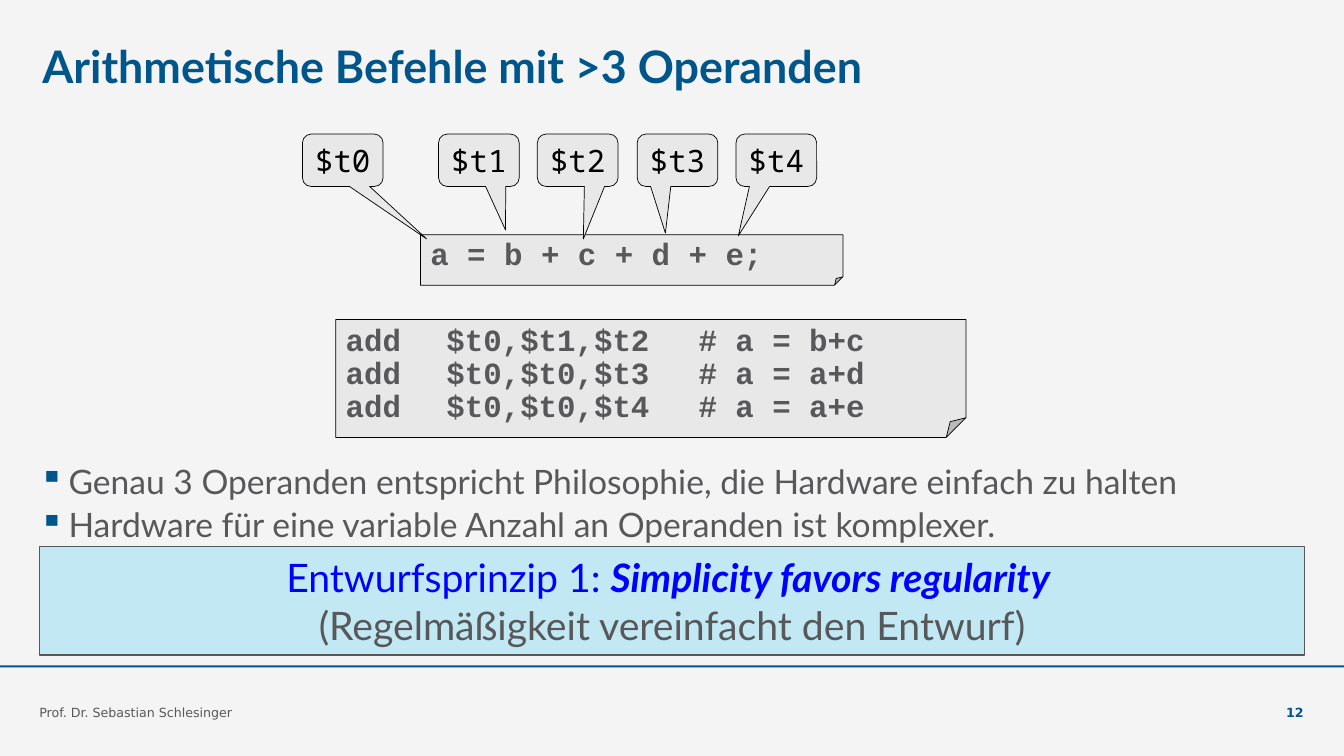
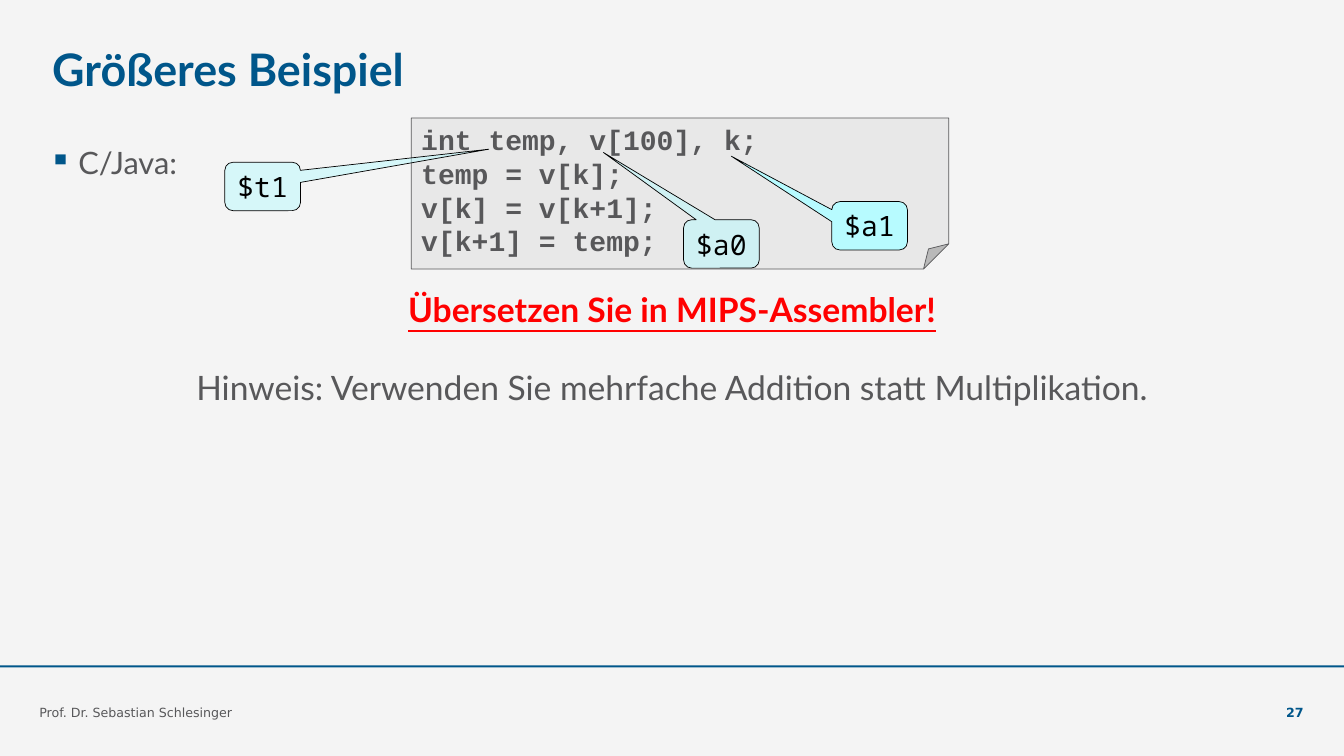
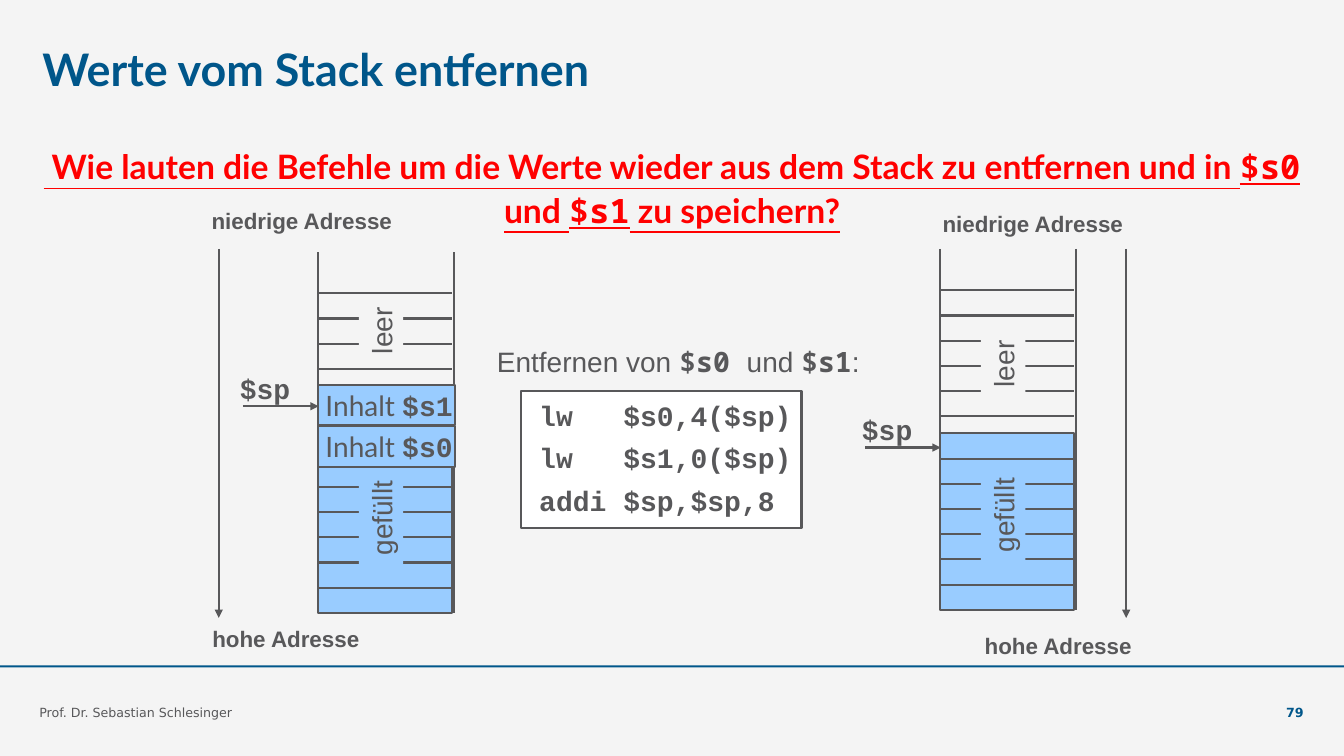
from dataclasses import dataclass, replace

from lxml import etree
from pptx import Presentation
from pptx.dml.color import RGBColor
from pptx.enum.shapes import MSO_CONNECTOR, MSO_SHAPE
from pptx.enum.text import MSO_ANCHOR, PP_ALIGN
from pptx.oxml.ns import qn
from pptx.util import Inches, Pt

RECT, NOTE = MSO_SHAPE.RECTANGLE, MSO_SHAPE.FOLDED_CORNER
CALLOUT = MSO_SHAPE.ROUNDED_RECTANGULAR_CALLOUT
STRAIGHT = MSO_CONNECTOR.STRAIGHT
TOP, MIDDLE, BOTTOM = MSO_ANCHOR.TOP, MSO_ANCHOR.MIDDLE, MSO_ANCHOR.BOTTOM
LEFT, CENTER, RIGHT = PP_ALIGN.LEFT, PP_ALIGN.CENTER, PP_ALIGN.RIGHT

PAPER = RGBColor(0xF4, 0xF4, 0xF4)
NAVY = RGBColor(0x00, 0x56, 0x8A)
GRAY = RGBColor(0x58, 0x58, 0x5A)
NOTE_GRAY = RGBColor(0xE8, 0xE8, 0xE8)
PALE_BLUE = RGBColor(0xC2, 0xE8, 0xF4)
CYAN = RGBColor(0xB7, 0xFB, 0xFF)
CELL_BLUE = RGBColor(0x99, 0xCC, 0xFF)
BLUE = RGBColor(0x00, 0x00, 0xFF)
RED = RGBColor(0xFF, 0x00, 0x00)
BLACK = RGBColor(0x00, 0x00, 0x00)
WHITE = RGBColor(0xFF, 0xFF, 0xFF)

MONO = "Noto Sans Mono"
NO_INSET, INSET = (0, 0), (0.1, 0.05)


@dataclass(frozen=True)
class Style:
    font: str = "Lato"
    size: float = 24
    color: RGBColor = GRAY
    bold: bool = False
    italic: bool = False
    underline: bool = False


BODY = Style()
TITLE = Style(size=32, color=NAVY, bold=True)
TASK = Style(color=RED, bold=True, underline=True)
CODE = Style("Courier New", 20, bold=True)
LABEL = Style("Arial", 20)
ADDRESS = Style("Arial", 16, bold=True)
FOOTER = Style("DejaVu Sans", 9)
REGISTER = Style(MONO, 20, BLACK)


# Text
def write(shape, paragraphs, align=LEFT, anchor=TOP, inset=INSET, wrap=True,
          spacing=None, before=0):
    """Each paragraph is a list of (text, style) runs; "\\n" breaks the line."""
    frame = shape.text_frame
    frame.word_wrap = wrap
    frame.vertical_anchor = anchor
    frame.margin_left = frame.margin_right = Inches(inset[0])
    frame.margin_top = frame.margin_bottom = Inches(inset[1])
    for index, runs in enumerate(paragraphs):
        paragraph = frame.add_paragraph() if index else frame.paragraphs[0]
        paragraph.alignment = align
        if spacing:
            paragraph.line_spacing = spacing
        if index and before:
            paragraph.space_before = Pt(before)
        for text, style in runs:
            if text == "\n":
                paragraph.add_line_break()
                continue
            run = paragraph.add_run()
            run.text = text
            font = run.font
            font.name, font.size = style.font, Pt(style.size)
            font.color.rgb = style.color
            font.bold, font.italic = style.bold, style.italic
            font.underline = style.underline
    return frame


def text_box(slide, box, paragraphs, **layout):
    shape = slide.shapes.add_textbox(*map(Inches, box))
    return write(shape, paragraphs, **layout)


def label(slide, box, runs, align=LEFT):
    text_box(slide, box, [runs], align=align, anchor=MIDDLE, wrap=False)


def bullets(slide, box, lines, style, inset, spacing):
    frame = text_box(slide, box, [[(line, style)] for line in lines],
                     inset=inset, spacing=spacing, before=2.2)
    for paragraph in frame.paragraphs:
        props = paragraph._p.get_or_add_pPr()
        props.set("marL", str(Inches(0.29)))
        props.set("indent", str(-Inches(0.29)))
        color = etree.SubElement(props, qn("a:buClr"))
        etree.SubElement(color, qn("a:srgbClr")).set("val", str(NAVY))
        etree.SubElement(props, qn("a:buChar")).set("char", "▪")


# Shapes and lines
def block(slide, kind, box, fill, line=None, width=1.5):
    shape = slide.shapes.add_shape(kind, *map(Inches, box))
    shape.shadow.inherit = False
    shape.fill.solid()
    shape.fill.fore_color.rgb = fill
    if line is None:
        shape.line.fill.background()
    else:
        shape.line.color.rgb = line
        shape.line.width = Pt(width)
    return shape


def code_note(slide, box, lines, style, line, **layout):
    note = block(slide, NOTE, box, NOTE_GRAY, line, 0.5)
    write(note, [[(text, style)] for text in lines], **layout)


def register_callout(slide, box, name, tip, style, fill, opacity=None):
    callout = block(slide, CALLOUT, box, fill, BLACK, 0.5)
    callout.adjustments[0], callout.adjustments[1] = tip
    if opacity:
        color = callout.fill._xPr.find(".//" + qn("a:srgbClr"))
        etree.SubElement(color, qn("a:alpha")).set("val", str(opacity * 1000))
    write(callout, [[(name, style)]], align=CENTER, anchor=MIDDLE, wrap=False)


def line(slide, x1, y1, x2, y2, arrow=False):
    connector = slide.shapes.add_connector(STRAIGHT, *map(Inches, (x1, y1, x2, y2)))
    connector.line.color.rgb = GRAY
    connector.line.width = Pt(1.5)
    if arrow:
        outline = connector.line._get_or_add_ln()
        etree.SubElement(outline, qn("a:tailEnd")).set("type", "triangle")
    etree.SubElement(connector._element.spPr, qn("a:effectLst"))


# Shared frame of every slide
def new_slide(deck, title, number, title_inset=NO_INSET, title_spacing=None):
    slide = deck.slides.add_slide(deck.slide_layouts[6])
    slide.background.fill.solid()
    slide.background.fill.fore_color.rgb = PAPER
    block(slide, RECT, (0, 6.6, 13.33, 0.02), NAVY)
    text_box(slide, (0.42, 0.37, 8.33, 0.63), [[(title, TITLE)]],
             anchor=MIDDLE, inset=title_inset, spacing=title_spacing)
    text_box(slide, (0.39, 6.75, 9.2, 0.39),
             [[("Prof. Dr. Sebastian Schlesinger", FOOTER)]],
             anchor=BOTTOM, inset=NO_INSET)
    text_box(slide, (12.03, 6.75, 0.9, 0.39),
             [[(str(number), replace(FOOTER, color=NAVY, bold=True))]],
             align=RIGHT, anchor=BOTTOM, inset=NO_INSET)
    return slide


# Stack diagram
def stack_label(slide, center_x, center_y, width, text, fill):
    tag = block(slide, RECT, (center_x - width / 2, center_y - 0.22, width, 0.44), fill)
    tag.rotation = 270
    write(tag, [[(text, LABEL)]], align=CENTER, anchor=MIDDLE, wrap=False)


def stack(slide, x, top, empty_lines, filled_cells, pointer_y, empty_label_y):
    step, bottom = 0.25, top + 3.58
    for rail_x in (x, x + 1.35):
        line(slide, rail_x, top, rail_x, bottom)
    for i in range(empty_lines):
        y = top + 0.41 + i * step
        line(slide, x, y, x + 1.33, y)
    for i in range(filled_cells, 0, -1):
        block(slide, RECT, (x, bottom - i * step, 1.33, step), CELL_BLUE, GRAY)
    stack_label(slide, x + 0.63, top + 2.64, 0.95, "gefüllt", CELL_BLUE)
    stack_label(slide, x + 0.63, empty_label_y, 0.67, "leer", PAPER)
    line(slide, x - 0.74, pointer_y, x + 0.01, pointer_y, arrow=True)
    label(slide, (x - 0.87, pointer_y - 0.4, 0.71, 0.44), [("$sp", CODE)])


# Slides
def operands_slide(deck):
    slide = new_slide(deck, "Arithmetische Befehle mit >3 Operanden", 12,
                      title_spacing=0.9)
    bullets(slide, (0.39, 4.57, 12.55, 0.85), [
        "Genau 3 Operanden entspricht Philosophie, die Hardware einfach zu halten",
        "Hardware für eine variable Anzahl an Operanden ist komplexer.",
    ], BODY, NO_INSET, None)

    code = replace(CODE, size=22)
    code_note(slide, (4.17, 2.33, 4.19, 0.5), ["a = b + c + d + e;"], code, BLACK,
              anchor=MIDDLE, spacing=0.9)
    callouts = [(3, (1.04, 1.5)), (4.35, (0.33, 1.33)), (5.33, (0.07, 1.5)),
                (6.32, (-0.15, 1.39)), (7.3, (-0.47, 1.44))]
    for i, (x, tip) in enumerate(callouts):
        register_callout(slide, (x, 1.33, 0.8, 0.52), f"$t{i}", tip,
                         replace(REGISTER, size=22), NOTE_GRAY)
    code_note(slide, (3.33, 3.17, 6.25, 1.17), [
        "add\t$t0,$t1,$t2\t# a = b+c",
        "add\t$t0,$t0,$t3\t# a = a+d",
        "add\t$t0,$t0,$t4\t# a = a+e",
    ], code, BLACK, spacing=0.9)

    principle = block(slide, RECT, (0.39, 5.42, 12.55, 1.08), PALE_BLUE, GRAY, 1)
    lead = Style(size=28, color=BLUE)
    write(principle, [[
        ("Entwurfsprinzip 1: ", lead),
        ("Simplicity favors regularity ", replace(lead, bold=True, italic=True)),
        ("\n", lead),
        ("(Regelmäßigkeit vereinfacht den Entwurf)", replace(lead, color=GRAY)),
    ]], align=CENTER, anchor=MIDDLE)


def example_slide(deck):
    slide = new_slide(deck, "Größeres Beispiel", 27, title_inset=INSET)
    bullets(slide, (0.39, 1.42, 3, 0.5), ["C/Java:"], replace(BODY, size=22),
            INSET, 0.9)
    text_box(slide, (0.39, 2.86, 12.55, 1.3), [
        [("Übersetzen Sie in MIPS-Assembler!", TASK)],
        [("Hinweis: Verwenden Sie mehrfache Addition statt Multiplikation.", BODY)],
    ], align=CENTER, spacing=0.9, before=30.3)
    code_note(slide, (4.08, 1.17, 5.33, 1.5), [
        "int temp, v[100], k;", "temp = v[k];", "v[k] = v[k+1];", "v[k+1] = temp;",
    ], CODE, GRAY)
    for name, x, y, tip, opacity in [
        ("$a0", 6.78, 2.18, (-1.56, -1.89), 49),
        ("$a1", 8.25, 2, (-1.83, -1.44), None),
        ("$t1", 2.23, 1.61, (2.99, -0.77), 49),
    ]:
        register_callout(slide, (x, y, 0.75, 0.48), name, tip, REGISTER, CYAN, opacity)


def stack_slide(deck):
    slide = new_slide(deck, "Werte vom Stack entfernen", 79)
    task_mono = replace(TASK, font=MONO)
    text_box(slide, (0.39, 1.42, 12.55, 1), [[
        (" Wie lauten die Befehle um die Werte wieder aus dem Stack zu entfernen"
         " und in ", TASK),
        ("$s0 ", task_mono), ("und ", TASK),
        ("$s1", task_mono), (" zu speichern?", TASK),
    ]], align=CENTER, inset=NO_INSET, spacing=1.08)

    # Instructions in the middle
    block(slide, RECT, (5.17, 3.88, 2.78, 1.36), WHITE, GRAY)
    instructions = ["lw   $s0,4($sp)", "lw   $s1,0($sp)", "addi $sp,$sp,8"]
    text_box(slide, (5.25, 3.97, 2.73, 1.26), [[(text, CODE)] for text in instructions],
             wrap=False, spacing=0.8, before=11)
    mono = replace(LABEL, font=MONO, bold=True)
    label(slide, (4.83, 3.36, 3.83, 0.44), [
        ("Entfernen von ", LABEL), ("$s0 ", mono), ("und ", LABEL),
        ("$s1", mono), (":", LABEL)])

    # Stack before (left) and after (right)
    stack(slide, 3.15, 2.5, 4, 6, 4.03, 3.28)
    for name, y in (("$s1", 3.82), ("$s0", 4.23)):
        block(slide, RECT, (3.15, y, 1.36, 0.4), CELL_BLUE, GRAY)
        label(slide, (3.13, y - 0.02, 1.46, 0.44),
              [("Inhalt ", replace(BODY, size=20)), (name, CODE)])
    stack(slide, 9.32, 2.47, 6, 7, 4.44, 3.61)

    # Address direction
    for axis_x, low_x, low_y, high_x, high_y in [
        (2.17, 2, 2, 2, 6.15),
        (11.17, 9.25, 2.03, 9.66, 6.22),
    ]:
        line(slide, axis_x, 2.47, axis_x, 6.13, arrow=True)
        label(slide, (low_x, low_y, 2, 0.37), [("niedrige Adresse", ADDRESS)])
        label(slide, (high_x, high_y, 1.67, 0.37), [("hohe Adresse", ADDRESS)], CENTER)


def main():
    deck = Presentation()
    deck.slide_width, deck.slide_height = Inches(13.33), Inches(7.5)
    operands_slide(deck)
    example_slide(deck)
    stack_slide(deck)
    deck.save("out.pptx")


if __name__ == "__main__":
    main()
